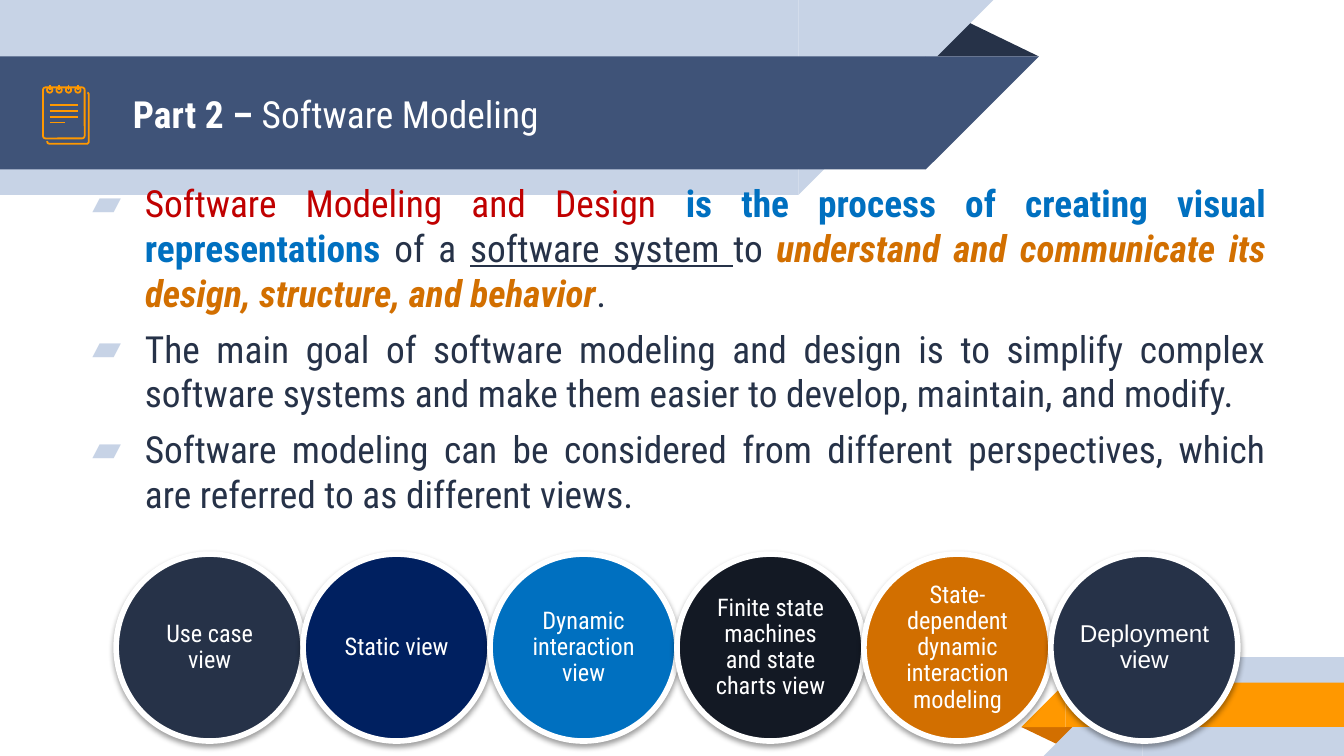
from lxml import etree
from pptx import Presentation, util as u
from pptx.dml.color import RGBColor
from pptx.enum import shapes, text
from pptx.oxml import ns

NAVY = RGBColor(0x26, 0x32, 0x48)
SLATE = RGBColor(0x3F, 0x53, 0x78)
PALE = RGBColor(0xC7, 0xD3, 0xE6)
ORANGE = RGBColor(0xFF, 0x98, 0x00)
RUST = RGBColor(0xD2, 0x6F, 0x00)
RED = RGBColor(0xC0, 0x00, 0x00)
BLUE = RGBColor(0x00, 0x70, 0xC0)
ROYAL = RGBColor(0x00, 0x20, 0x60)
INK = RGBColor(0x13, 0x19, 0x24)
WHITE = RGBColor(0xFF, 0xFF, 0xFF)

CONDENSED = "Roboto Condensed"
KIND = shapes.MSO_SHAPE
ALIGN = text.PP_ALIGN
MIDDLE = text.MSO_ANCHOR.MIDDLE
CELL = 91440  # EMU, a tenth of an inch
COLUMNS, ROWS = 100, 56.25


def grid(*cells):
    return [u.Emu(round(cell * CELL)) for cell in cells]


def add_xml(parent, tag, **attributes):
    return etree.SubElement(parent, ns.qn(tag), attributes)


class SlideBuilder:
    """Holds the style and the current slide; all lengths are grid cells."""

    def __init__(self, slide, size=20, font=CONDENSED):
        self.slide, self.size, self.font = slide, size, font

    def shape(self, kind, box, fill=None, line=None, weight=1, turned=False, mirrored=False):
        shape = self.slide.shapes.add_shape(kind, *grid(*box))
        self.paint(shape, fill, line, weight)
        if turned:
            shape.rotation = 180
        if mirrored:
            shape._element.spPr.xfrm.set("flipH", "1")
        return shape

    def paint(self, shape, fill, line, weight):
        shape.shadow.inherit = False
        for part, colour in ((shape.fill, fill), (shape.line.fill, line)):
            if colour is None:
                part.background()
            else:
                part.solid()
                part.fore_color.rgb = colour
        if line is not None:
            shape.line.width = u.Pt(weight)

    def soft_shadow(self, shape):
        effects = shape._element.spPr.find(ns.qn("a:effectLst"))
        shadow = add_xml(effects, "a:outerShdw", blurRad=str(u.Pt(3.1)), dist=str(u.Pt(1.6)),
                         dir="5400000", algn="ctr", rotWithShape="0")
        add_xml(add_xml(shadow, "a:srgbClr", val="000000"), "a:alpha", val="38000")

    def line(self, x1, y1, x2, y2, colour):
        line = self.slide.shapes.add_connector(
            shapes.MSO_CONNECTOR.STRAIGHT, *grid(x1, y1, x2, y2))
        line.line.color.rgb = colour
        line.line.width = u.Pt(0.96)
        add_xml(line._element.spPr, "a:effectLst")

    def outline(self, points, colour):
        corners = [grid(*point) for point in points]
        builder = self.slide.shapes.build_freeform(*corners[0])
        builder.add_line_segments(corners[1:], close=False)
        self.paint(builder.convert_to_shape(), None, colour, 0.96)

    def text(self, box, paragraphs, inset=1, anchor=text.MSO_ANCHOR.TOP,
             bullet=None, layout=None, **base):
        frame = self.slide.shapes.add_textbox(*grid(*box)).text_frame
        margin, = grid(inset)
        frame_format = {"word_wrap": True, "vertical_anchor": anchor}
        frame_format.update({f"margin_{side}": margin
                             for side in ("left", "right", "top", "bottom")})
        for name, value in frame_format.items():
            setattr(frame, name, value)
        for index, runs in enumerate(paragraphs):
            paragraph = frame.add_paragraph() if index else frame.paragraphs[0]
            for name, value in (layout or {}).items():
                setattr(paragraph, name, value)
            if bullet:
                self.bullet(paragraph, *bullet)
            for words, changes in runs:
                run = paragraph.add_run()
                run.text = words
                style = {"name": self.font, "size": u.Pt(self.size), "color": WHITE,
                         **base, **changes}
                run.font.color.rgb = style.pop("color")
                for name, value in style.items():
                    setattr(run.font, name, value)

    def bullet(self, paragraph, mark, colour):
        properties = paragraph._p.get_or_add_pPr()
        properties.set("marL", str(u.Inches(0.5)))
        properties.set("indent", str(u.Inches(-0.39)))
        add_xml(add_xml(properties, "a:buClr"), "a:srgbClr", val=str(colour))
        add_xml(properties, "a:buFont", typeface=self.font)
        add_xml(properties, "a:buChar", char=mark)


BODY = [
    [("Software Modeling and Design ", {"color": RED}),
     ("is the process of creating visual representations ", {"color": BLUE, "bold": True}),
     ("of a ", {}),
     ("software system ", {"underline": True}),
     ("to ", {}),
     ("understand and communicate its design, structure, and behavior",
      {"color": RUST, "bold": True, "italic": True}),
     (". ", {})],
    [("The main goal of software modeling and design is to simplify complex software "
      "systems and make them easier to develop, maintain, and modify.", {})],
    [("Software modeling can be considered from different perspectives, which are "
      "referred to as different views. ", {})],
]

VIEWS = [
    ("Use case view", NAVY, CONDENSED),
    ("Static view", ROYAL, CONDENSED),
    ("Dynamic interaction view", BLUE, CONDENSED),
    ("Finite state machines and state charts view", INK, CONDENSED),
    ("State-dependent dynamic interaction modeling", RUST, CONDENSED),
    ("Deployment view", NAVY, "Arial"),
]


def draw_ribbons(page):
    # Header: folded corner, then two bands with slanted right ends
    fold = page.shape(KIND.ISOSCELES_TRIANGLE, (68.8, 1.4, 8.5, 2.8), NAVY)
    fold.adjustments[0] = 0.32
    for top, width, height, colour in ((0, 59.4, 14.5, PALE), (4.2, 68.9, 8.4, SLATE)):
        page.shape(KIND.RECTANGLE, (0, top, width, height), colour)
        page.shape(KIND.RIGHT_TRIANGLE, (width, top, height, height), colour,
                   turned=True, mirrored=True)

    # Bottom corner: the same motif with slanted left ends
    fold = page.shape(KIND.ISOSCELES_TRIANGLE, (76, 54.1, 4.3, 1.4), RUST, turned=True)
    fold.adjustments[0] = 0.32
    for left, top, height, colour in ((85, 48.9, 7.35, PALE), (79.3, 50.8, 3.3, ORANGE)):
        page.shape(KIND.RECTANGLE, (left, top, COLUMNS - left, height), colour)
        page.shape(KIND.RIGHT_TRIANGLE, (left - height, top, height, height), colour,
                   mirrored=True)


def draw_views(page):
    diameter, inset, left, top = 13.91, 2.04, 8.64, 41.23
    label = diameter - 2 * inset
    for index, (name, colour, font) in enumerate(VIEWS):
        x = left + index * diameter
        circle = page.shape(KIND.OVAL, (x, top, diameter, diameter), colour, WHITE, 3)
        page.soft_shadow(circle)
        page.text((x + inset, top + inset, label, label), [[(name, {})]], inset=0,
                  anchor=MIDDLE, layout={"alignment": ALIGN.CENTER, "line_spacing": 0.9},
                  name=font, size=u.Pt(13))


def draw_notepad(page):
    # Back sheet shows only its lower and right edges
    page.outline([(3.5, 10.5), (3.55, 10.65), (3.7, 10.7), (6.5, 10.7), (6.6, 10.6),
                  (6.6, 7), (6.55, 6.9), (6.5, 6.9)], ORANGE)
    sheet = page.shape(KIND.ROUNDED_RECTANGLE, (3.2, 6.5, 3.1, 3.8), line=ORANGE, weight=0.96)
    sheet.adjustments[0] = 0.06
    # Binding rings and their pins
    for ring in range(4):
        x = 3.5 + 0.7 * ring
        page.shape(KIND.OVAL, (x, 6.5, 0.4, 0.4), line=ORANGE, weight=0.96)
        page.line(x + 0.2, 6.3, x + 0.2, 6.7, ORANGE)
    # Written lines, the last one short
    for row, length in enumerate((2.1, 2.1, 2.1, 1.1)):
        y = 7.8 + 0.44 * row
        page.line(3.7, y, 3.7 + length, y, ORANGE)


def main():
    deck = Presentation()
    deck.slide_width, deck.slide_height = grid(COLUMNS, ROWS)
    page = SlideBuilder(deck.slides.add_slide(deck.slide_layouts[6]))

    draw_ribbons(page)
    # Title and body
    page.text((8.9, 4.25, 57.5, 8.4),
              [[("Part 2 – ", {"bold": True}), ("Software Modeling", {})]], anchor=MIDDLE)
    page.text((4.8, 12.4, 90.4, 29.8), BODY, bullet=("▰", PALE), color=NAVY,
              layout={"alignment": ALIGN.JUSTIFY, "space_before": u.Pt(6)})
    draw_views(page)
    draw_notepad(page)
    deck.save("out.pptx")


if __name__ == "__main__":
    main()
